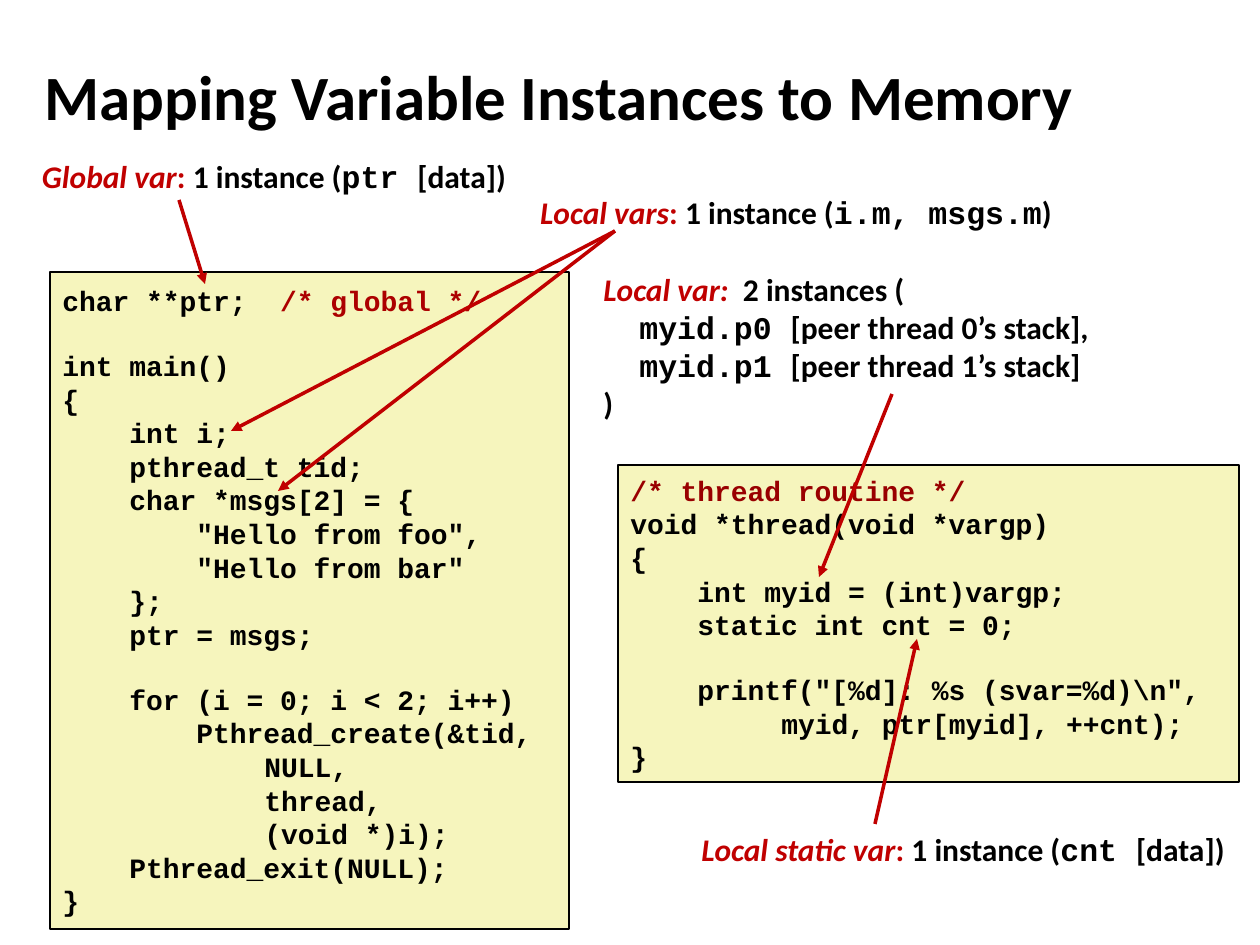
"""Build the slide that maps variable instances to memory."""
from dataclasses import dataclass, field
from typing import Any, NamedTuple

from lxml.etree import SubElement
from pptx import Presentation
from pptx.dml.color import RGBColor
from pptx.enum.shapes import MSO_CONNECTOR, MSO_SHAPE
from pptx.enum.text import MSO_ANCHOR, MSO_AUTO_SIZE, PP_ALIGN
from pptx.oxml.ns import qn
from pptx.util import Emu, Pt

EMU_PER_PIXEL = 914400 / 126


@dataclass(frozen=True)
class Theme:
    """Hold the colours, fonts and type sizes of the slide."""

    text: str = "000000"
    accent: str = "C00000"
    global_comment: str = "AC0000"
    routine_comment: str = "990000"
    code_fill: str = "F6F5BD"
    sans: str = "Calibri"
    mono: str = "Courier New"
    title_size: int = 36
    label_size: int = 18
    code_size: int = 16
    code_line: int = 18
    border: int = 1
    arrow: int = 2


THEME = Theme()


class Span(NamedTuple):
    """Describe a run of text in one format."""

    text: str
    color: str = THEME.text
    font: str = THEME.sans
    size: int = THEME.label_size
    italic: bool = False


class Line(NamedTuple):
    """Describe a paragraph, its indent in pixels and the space above in points."""

    spans: list[Span]
    indent: int = 0
    space_before: int = 0


class Box(NamedTuple):
    """Give a rectangle in pixels."""

    left: int
    top: int
    width: int
    height: int


class Arrow(NamedTuple):
    """Give the start and end of an arrow in pixels."""

    start_x: int
    start_y: int
    end_x: int
    end_y: int


@dataclass(frozen=True)
class Panel:
    """Describe a block of text, with a filled frame when it holds code."""

    box: Box
    lines: list[Line]
    framed: bool = False
    format: dict[str, Any] = field(default_factory=dict)


def pixels(value: float) -> Emu:
    """Turn pixels into EMU."""
    return Emu(round(value * EMU_PER_PIXEL))


def apply(target: Any, values: dict[str, Any]) -> None:
    """Set each named attribute on the target."""
    for name, value in values.items():
        setattr(target, name, value)


def place(shape: Any, box: Box) -> None:
    """Move a shape to its box."""
    apply(shape, {name: pixels(value) for name, value in box._asdict().items()})


def write(text_frame: Any, lines: list[Line], alignment: Any = PP_ALIGN.LEFT) -> None:
    """Write formatted lines into a text frame."""
    for index, line in enumerate(lines):
        paragraph = text_frame.add_paragraph() if index else text_frame.paragraphs[0]
        apply(paragraph, {"alignment": alignment, "space_before": Pt(line.space_before)})
        if line.indent:
            properties = paragraph._p.get_or_add_pPr()
            properties.set("marL", str(pixels(line.indent)))
            properties.set("indent", "0")
        for span in line.spans:
            run = paragraph.add_run()
            run.text = span.text
            apply(run.font, {"name": span.font, "size": Pt(span.size),
                             "bold": True, "italic": span.italic})
            run.font.color.rgb = RGBColor.from_string(span.color)


def code(text: str, column: int = 0, gap: bool = False, color: str = THEME.text) -> Line:
    """Make a code line that starts at a character column."""
    span = Span(text, color, THEME.mono, THEME.code_size)
    return Line([span], round(column * 16.8), THEME.code_line if gap else 0)


def instance(kind: str, name: str, ending: str) -> list[Line]:
    """Make the label of a variable with one instance."""
    return [Line([Span(kind, THEME.accent, italic=True), Span(": ", THEME.accent),
                  Span("1 instance ("), Span(name, font=THEME.mono), Span(ending)])]


def stack(thread: int, ending: str) -> Line:
    """Make the line that names one peer thread's copy."""
    return Line([Span(f"myid.p{thread} ", font=THEME.mono),
                 Span(f"[peer thread {thread}’s stack]{ending}")], 36)


def draw_panel(slide: Any, panel: Panel) -> None:
    """Draw a label or a framed code block."""
    area = [pixels(value) for value in panel.box]
    if panel.framed:
        shape = slide.shapes.add_shape(MSO_SHAPE.RECTANGLE, *area)
        shape.shadow.inherit = False
        shape.fill.solid()
        shape.fill.fore_color.rgb = RGBColor.from_string(THEME.code_fill)
        shape.line.color.rgb = RGBColor.from_string(THEME.text)
        shape.line.width = Pt(THEME.border)
    else:
        shape = slide.shapes.add_textbox(*area)
        apply(shape.text_frame, {"margin_top": 0, "margin_bottom": 0})
    apply(shape.text_frame, {"word_wrap": True, "vertical_anchor": MSO_ANCHOR.MIDDLE})
    write(shape.text_frame, panel.lines, **panel.format)


def draw_arrow(slide: Any, arrow: Arrow) -> None:
    """Draw an arrow from a label to its variable."""
    ends = [pixels(value) for value in arrow]
    connector = slide.shapes.add_connector(MSO_CONNECTOR.STRAIGHT, *ends)
    connector.line.color.rgb = RGBColor.from_string(THEME.accent)
    connector.line.width = Pt(THEME.arrow)
    SubElement(connector.line._get_or_add_ln(), qn("a:tailEnd"), type="triangle")
    SubElement(connector._element.spPr, qn("a:effectLst"))


MAIN_CODE = [
    Line([*code("char **ptr;  ").spans,
          *code("/* global */", color=THEME.global_comment).spans]),
    code("int main()", gap=True), code("{"), code("int i;", 4),
    code("pthread_t tid;", 4), code("char *msgs[2] = {", 4),
    code('"Hello from foo",', 8), code('"Hello from bar"', 8), code("};", 4),
    code("ptr = msgs;", 4), code("for (i = 0; i < 2; i++)", 4, gap=True),
    code("Pthread_create(&tid,", 8), code("NULL,", 12), code("thread,", 12),
    code("(void *)i);", 12), code("Pthread_exit(NULL);", 4), code("}"),
]
THREAD_CODE = [
    code("/* thread routine */", color=THEME.routine_comment),
    code("void *thread(void *vargp)"), code("{"),
    code("int myid = (int)vargp;", 4), code("static int cnt = 0;", 4),
    code('printf("[%d]: %s (svar=%d)\\n",', 4, gap=True),
    code("myid, ptr[myid], ++cnt);", 9), code("}"),
]
LOCAL_LABEL = [
    Line([Span("Local var:  ", THEME.accent, italic=True), Span("2 instances (")]),
    stack(0, ","), stack(1, ""), Line([Span(")")]),
]
CENTERED = {"alignment": PP_ALIGN.CENTER}
PANELS = [
    Panel(Box(50, 272, 519, 657), MAIN_CODE, True),
    Panel(Box(618, 465, 621, 317), THREAD_CODE, True),
    Panel(Box(27, 157, 494, 38), instance("Global var", "ptr ", "[data])"), format=CENTERED),
    Panel(Box(685, 830, 556, 38), instance("Local static var", "cnt ", "[data])"), format=CENTERED),
    Panel(Box(525, 193, 542, 38), instance("Local vars", "i.m, msgs.m", ")"), format=CENTERED),
    Panel(Box(591, 270, 533, 152), LOCAL_LABEL),
]
ARROWS = [Arrow(179, 200, 205, 284), Arrow(875, 824, 917, 639), Arrow(615, 231, 231, 431),
          Arrow(892, 394, 819, 577), Arrow(615, 231, 278, 491)]


def main() -> None:
    """Build and save the presentation."""
    presentation = Presentation()
    apply(presentation, {"slide_width": pixels(1260), "slide_height": pixels(945)})
    slide = presentation.slides.add_slide(presentation.slide_layouts[5])
    title = slide.shapes.title
    place(title, Box(32, 42, 1236, 107))
    apply(title.text_frame, {"word_wrap": True, "auto_size": MSO_AUTO_SIZE.NONE,
                             "vertical_anchor": MSO_ANCHOR.MIDDLE})
    write(title.text_frame, [Line([Span("Mapping Variable Instances to Memory",
                                        size=THEME.title_size)])])
    for panel in PANELS:
        draw_panel(slide, panel)
    for arrow in ARROWS:
        draw_arrow(slide, arrow)
    presentation.save("out.pptx")


main()
